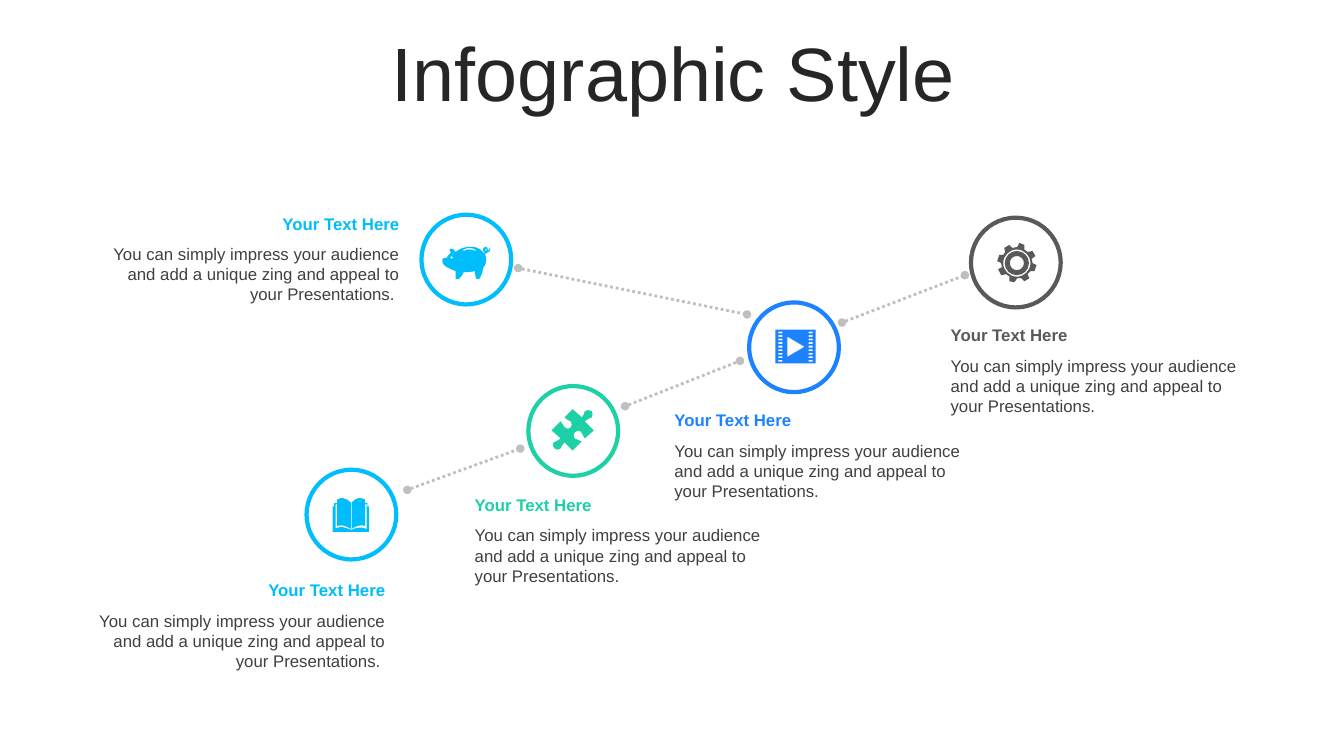
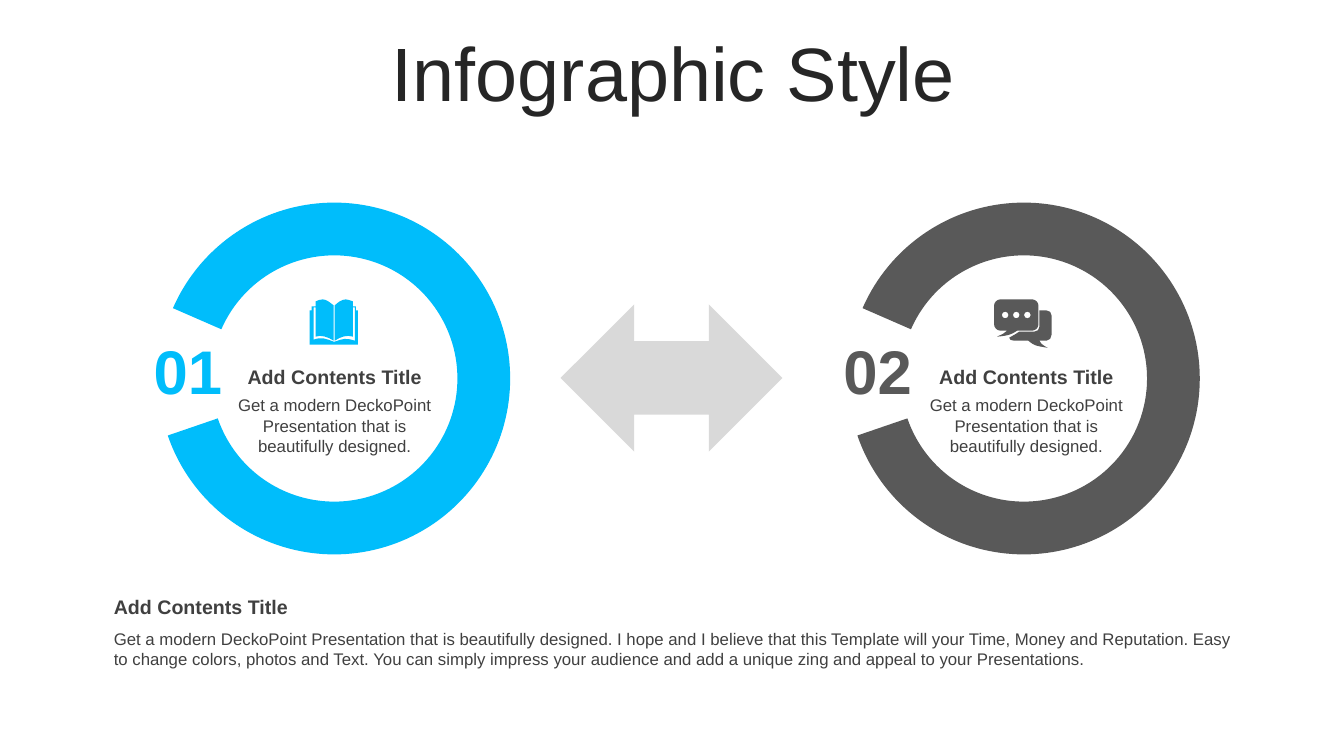
"""Build two infographic slides: a milestone path and a two-ring comparison."""
from dataclasses import dataclass

from lxml.etree import SubElement
from pptx import Presentation
from pptx.dml.color import RGBColor as Rgb
from pptx.enum.dml import MSO_LINE_DASH_STYLE as Dash
from pptx.enum.shapes import MSO_CONNECTOR as Connector, MSO_SHAPE as Preset
from pptx.enum.text import MSO_ANCHOR as Anchor, MSO_AUTO_SIZE as AutoSize, PP_ALIGN as Align
from pptx.oxml.ns import qn
from pptx.util import Inches, Pt

Point = tuple[float, float]
Segment = list[Point]


@dataclass(frozen=True)
class Theme:
    """Fonts, type sizes and colours of the deck."""
    font: str = "Arial"
    title_size: int = 54
    number_size: int = 44
    heading_size: int = 14
    body_size: int = 12
    title: str = "262626"
    body: str = "404040"
    sky: str = "00BDFB"
    blue: str = "1C82FF"
    green: str = "1ED0A6"
    gray: str = "595959"
    link: str = "BFBFBF"
    arrow: str = "D9D9D9"
    white: str = "FFFFFF"


THEME = Theme()


@dataclass(frozen=True)
class Icon:
    """An outline in hundredths of an inch, with circles as x, y, radius."""
    outline: str
    circles: tuple[tuple[float, float, float], ...] = ()


@dataclass(frozen=True)
class Caption:
    """A bold heading above a body text."""
    left: float
    top: float
    width: float
    heading: str
    body: str
    align: Align = Align.LEFT
    size: int = THEME.body_size
    drop: float = 0.3


@dataclass(frozen=True)
class Milestone:
    """A ringed icon with its caption."""
    left: float
    top: float
    color: str
    icon: Icon
    icon_at: Point
    caption: Caption
    icon_scale: float = 1


@dataclass(frozen=True)
class Ring:
    """An open ring with a number, an icon and a caption."""
    left: float
    number: str
    color: str
    icon: Icon
    icon_left: float
    caption: Caption


SLIDE_TITLE = "Infographic Style"
HEADING = "Your Text Here"
PITCH = "You can simply impress your audience and add a unique zing and appeal to your Presentations."
RING_HEADING = "Add Contents Title"
RING_BODY = "Get a modern DeckoPoint Presentation that is beautifully designed."
SUMMARY = (f"{RING_BODY} I hope and I believe that this Template will your Time, Money and "
           f"Reputation. Easy to change colors, photos and Text. {PITCH}")


def box_outline(left: float, top: float, width: float, height: float) -> str:
    """Return the outline of a rectangle."""
    right, bottom = left + width, top + height
    return f"M {left} {top} L {right} {top} L {right} {bottom} L {left} {bottom} "


BOOK = Icon(
    "M 24 42 L 25 42 C 33 39 36 38 45 41 L 45 8 L 43 8 L 43 37 C 37 35 31 37 25 41 L 25 6 "
    "C 28 3 32 0 36 0 C 38 0 40 1 43 2 L 43 7 L 46 7 L 46 11 L 48 11 L 48 45 L 0 45 L 0 11 "
    "L 2 11 L 2 7 L 6 7 L 6 2 C 8 1 11 0 13 0 C 17 0 20 3 24 6 L 24 41 C 18 37 11 35 6 37 "
    "L 6 8 L 4 8 L 4 40 C 12 37 16 39 24 42")
PUZZLE = Icon(
    "M 40 2 C 41 4 41 6 40 8 C 38 10 35 9 33 12 L 42 21 L 33 29 C 30 27 32 24 29 22 "
    "C 27 21 25 21 23 23 C 22 24 21 27 23 29 C 26 31 27 30 30 32 L 21 41 L 13 33 "
    "C 10 35 11 36 9 39 C 7 41 4 40 3 39 C 1 37 1 35 2 33 C 4 31 7 32 9 29 L 0 21 L 9 12 "
    "C 12 14 11 17 13 18 C 15 20 18 20 19 18 C 20 17 21 14 19 12 C 16 10 15 11 13 8 L 21 0 "
    "L 30 8 C 33 6 31 5 33 2 C 35 0 38 1 40 2")
FILM = Icon(
    box_outline(0, 0, 40, 33.5) + "M 12 7 L 12 27 L 29 17 "
    + "".join(box_outline(left, 2 + 3.5 * row, 4, 1.8) for left in (3, 33) for row in range(9)))
GEAR = Icon(
    "M 27 2 L 27 7 C 28 7 29 8 30 9 L 35 8 L 38 13 L 34 16 C 35 17 35 19 35 20 L 39 22 L 37 28 "
    "L 33 28 C 32 29 31 30 30 31 L 32 35 L 27 38 L 24 35 C 23 35 21 35 20 35 L 17 39 L 12 38 "
    "L 12 33 C 11 32 9 32 9 31 L 4 32 L 1 26 L 5 24 C 4 23 4 21 4 20 L 0 18 L 2 12 L 6 12 "
    "C 7 11 7 10 8 9 L 7 5 L 12 2 L 15 5 C 17 5 18 4 20 4 L 22 0",
    ((19.5, 20, 13.5), (19.5, 20, 12), (19.5, 20, 7)))
PIG = Icon(
    "M 28 1 C 25 1 23 2 21 3 L 22 4 C 25 2 30 2 34 4 L 34 3 C 32 2 30 1 28 1 "
    "M 27 0 C 32 -1 38 1 41 5 L 42 6 C 42 6 42 5 43 5 C 42 5 41 4 41 3 C 41 1 42 0 44 0 "
    "C 45 0 46 1 46 3 L 46 4 C 46 3 47 4 48 0 C 49 4 47 5 45 6 C 44 6 43 7 43 7 L 44 10 "
    "C 45 15 43 19 41 21 C 41 26 39 28 38 31 C 38 32 34 32 34 31 C 34 29 33 27 33 24 "
    "C 29 25 25 25 22 25 C 21 28 19 30 17 32 L 14 32 L 14 24 C 9 22 -1 19 1 12 "
    "C 1 11 3 11 5 11 C 6 9 7 8 9 6 C 9 5 8 3 8 2 C 12 1 12 3 14 5 C 17 2 23 0 27 0",
    ((10, 10.5, 1.5), (44, 3, 1)))
CHAT = Icon(
    "M 45 11 L 52 11 C 55 11 57 13 57 16 L 57 35 C 57 38 55 41 52 41 L 45 41 C 46 43 46 44 53 48 "
    "C 41 46 40 46 34 41 L 20 41 C 17 41 15 40 15 38 C 18 36 21 35 25 32 L 40 32 "
    "C 43 32 45 30 45 27 M 6 0 L 38 0 C 41 0 44 3 44 6 L 44 25 C 44 28 41 31 38 31 L 23 31 "
    "C 17 35 14 36 3 37 C 9 34 10 34 13 31 L 6 31 C 3 31 0 28 0 25 L 0 6 C 0 3 3 0 6 0",
    tuple((x, 15.5, 3.3) for x in (11, 22, 33)))

MILESTONES = (
    Milestone(3.04, 4.66, THEME.sky, BOOK, (3.3, 4.94),
              Caption(0.81, 5.7, 3.11, HEADING, f"{PITCH} ", Align.RIGHT, drop=0.31), 0.75),
    Milestone(5.24, 3.83, THEME.green, PUZZLE, (5.47, 4.06),
              Caption(4.61, 4.86, 3.11, HEADING, PITCH)),
    Milestone(7.43, 3, THEME.blue, FILM, (7.69, 3.27),
              Caption(6.59, 4.02, 3.11, HEADING, PITCH)),
    Milestone(9.63, 2.16, THEME.gray, GEAR, (9.89, 2.41),
              Caption(9.33, 3.17, 3.11, HEADING, PITCH, drop=0.31)),
    Milestone(4.18, 2.13, THEME.sky, PIG, (4.38, 2.45),
              Caption(1.01, 2.07, 3.05, HEADING, f"{PITCH} ", Align.RIGHT)),
)
LINKS = (
    ((4.04, 4.86), (5.16, 4.45)),
    ((6.2, 4.03), (7.34, 3.58)),
    ((8.35, 3.2), (9.57, 2.73)),
    ((5.14, 2.66), (7.41, 3.12)),
)
RINGS = (
    Ring(1.57, "01", THEME.sky, BOOK, 3.07,
         Caption(2.22, 3.57, 2.2, RING_HEADING, RING_BODY, Align.CENTER, THEME.heading_size)),
    Ring(8.41, "02", THEME.gray, CHAT, 9.86,
         Caption(9.12, 3.57, 2.12, RING_HEADING, RING_BODY, Align.CENTER, THEME.heading_size)),
)


def color_of(value: str) -> Rgb:
    """Return the colour for a hex value."""
    return Rgb.from_string(value)


def style_text(frame, text: str, size: int, color: str, align: Align, bold: bool = False) -> None:
    """Write one formatted paragraph into a text frame."""
    frame.word_wrap = True
    para = frame.paragraphs[0]
    para.text = text
    para.alignment = align
    para.space_before = Pt(0)
    para.font.name = THEME.font
    para.font.size = Pt(size)
    para.font.bold = bold
    para.font.color.rgb = color_of(color)


def add_text(page, left: float, top: float, width: float, height: float, text: str,
             size: int, color: str, align: Align, bold: bool = False):
    """Add a text box and return its frame."""
    box = page.shapes.add_textbox(Inches(left), Inches(top), Inches(width), Inches(height))
    style_text(box.text_frame, text, size, color, align, bold)
    return box.text_frame


def add_caption(page, caption: Caption, color: str) -> None:
    """Add a heading and the body below it."""
    add_text(page, caption.left, caption.top + caption.drop, caption.width, 0.71, caption.body,
             THEME.body_size, THEME.body, caption.align)
    add_text(page, caption.left, caption.top, caption.width, 0.3, caption.heading,
             caption.size, color, caption.align, True)


def paint(shape, fill: str) -> None:
    """Give a shape a plain fill without line or shadow."""
    shape.shadow.inherit = False
    shape.fill.solid()
    shape.fill.fore_color.rgb = color_of(fill)
    shape.line.fill.background()


def add_preset(page, preset: Preset, left: float, top: float, width: float, height: float,
               fill: str, line: str | None = None):
    """Add a flat preset shape, outlined only when a line colour is given."""
    shape = page.shapes.add_shape(preset, Inches(left), Inches(top), Inches(width), Inches(height))
    paint(shape, fill)
    if line:
        shape.line.color.rgb = color_of(line)
        shape.line.width = Pt(3)
    return shape


def circle_outline(x: float, y: float, radius: float) -> str:
    """Return the outline of a circle as four curves."""
    turns = ((1, 0), (0, 1), (-1, 0), (0, -1), (1, 0))
    outline = f"M {x + radius} {y} "
    for (a, b), (c, d) in zip(turns, turns[1:]):
        points = ((a + 0.55 * c, b + 0.55 * d), (c + 0.55 * a, d + 0.55 * b), (c, d))
        outline += "C " + "".join(f"{x + radius * u} {y + radius * v} " for u, v in points)
    return outline


def contours(icon: Icon) -> list[list[Segment]]:
    """Split an icon into contours of one-point lines and three-point curves."""
    outline = icon.outline + " " + "".join(circle_outline(*circle) for circle in icon.circles)
    result = []
    for part in outline.split("M")[1:]:
        rows = [[float(word) for word in segment.split()]
                for segment in part.replace("C", "L").split("L")]
        result.append([list(zip(row[::2], row[1::2])) for row in rows])
    return result


def add_icon(page, icon: Icon, left: float, top: float, color: str, scale: float = 1) -> None:
    """Draw an icon as one freeform with curves."""
    shapes = contours(icon)
    builder = None
    for contour in shapes:
        start, *points = [(Inches(left + x * scale / 100), Inches(top + y * scale / 100))
                          for segment in contour for x, y in segment]
        if builder is None:
            builder = page.shapes.build_freeform(*start)
        else:
            builder.move_to(*start)
        builder.add_line_segments(points, close=True)
    shape = builder.convert_to_shape()
    steps = iter(list(shape.element.iter(qn("a:lnTo"))))
    for segment in (segment for contour in shapes for segment in contour[1:]):
        step = next(steps)
        if len(segment) == 3:
            step.tag = qn("a:cubicBezTo")
            for extra in (next(steps), next(steps)):
                step.append(extra[0])
                extra.getparent().remove(extra)
    paint(shape, color)


def add_link(page, start: Point, end: Point) -> None:
    """Add a dotted line with round ends."""
    link = page.shapes.add_connector(Connector.STRAIGHT, *(Inches(v) for v in (*start, *end)))
    link.line.color.rgb = color_of(THEME.link)
    link.line.width = Pt(2)
    link.line.dash_style = Dash.ROUND_DOT
    properties = link.line._get_or_add_ln()
    for tag in ("a:headEnd", "a:tailEnd"):
        SubElement(properties, qn(tag), type="oval")
    SubElement(properties.getparent(), qn("a:effectLst"))


def add_page(deck):
    """Add a slide with the shared title."""
    page = deck.slides.add_slide(deck.slide_layouts[5])
    title = page.shapes.title
    title.left, title.top, title.width, title.height = map(Inches, (0.35, 0.37, 12.66, 0.79))
    frame = title.text_frame
    style_text(frame, SLIDE_TITLE, THEME.title_size, THEME.title, Align.CENTER)
    frame.auto_size = AutoSize.NONE
    frame.vertical_anchor = Anchor.MIDDLE
    frame.paragraphs[0].line_spacing = 0.9
    return page


def build_milestones(deck) -> None:
    """Build the slide with linked milestones."""
    page = add_page(deck)
    for stone in MILESTONES:
        add_preset(page, Preset.OVAL, stone.left, stone.top, 0.89, 0.89, THEME.white, stone.color)
        add_caption(page, stone.caption, stone.color)
        add_icon(page, stone.icon, *stone.icon_at, stone.color, stone.icon_scale)
    for start, end in LINKS:
        add_link(page, start, end)


def build_rings(deck) -> None:
    """Build the slide that compares two rings."""
    page = add_page(deck)
    for ring in RINGS:
        arc = add_preset(page, Preset.BLOCK_ARC, ring.left, 2.01, 3.49, 3.49, ring.color)
        for index, value in enumerate((122.14, 96.65, 0.15)):
            arc.adjustments[index] = value
        frame = add_text(page, ring.left - 0.15, 3.25, 0.79, 0.84, ring.number,
                         THEME.number_size, ring.color, Align.CENTER, True)
        frame.margin_right = 0
        add_caption(page, ring.caption, THEME.body)
        add_icon(page, ring.icon, ring.icon_left, 2.97, ring.color)
    add_preset(page, Preset.LEFT_RIGHT_ARROW, 5.56, 3.02, 2.2, 1.46, THEME.arrow)
    add_caption(page, Caption(1.03, 5.85, 11.38, RING_HEADING, SUMMARY,
                              size=THEME.heading_size, drop=0.34), THEME.body)


if __name__ == "__main__":
    presentation = Presentation()
    presentation.slide_width, presentation.slide_height = Inches(13.33), Inches(7.5)
    build_milestones(presentation)
    build_rings(presentation)
    presentation.save("out.pptx")
